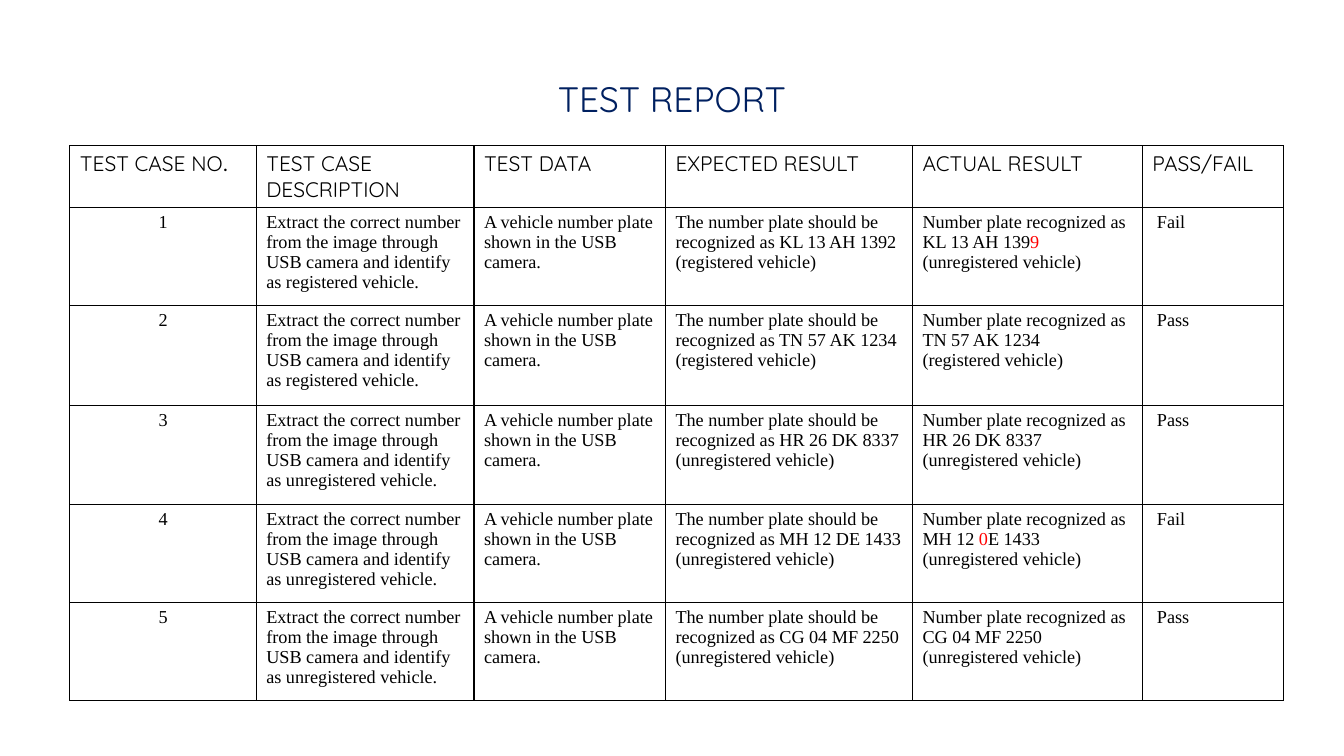
from lxml.etree import SubElement
from pptx import Presentation
from pptx.dml.color import RGBColor
from pptx.enum.text import MSO_ANCHOR as Anchor, PP_ALIGN as Align
from pptx.oxml.ns import qn
from pptx.util import Pt

HEADING_FONT = "Quicksand"
BODY_FONT = "Times New Roman"
BLACK, RED, NAVY = "000000", "FF0000", "002060"

COLUMN_WIDTHS = [133.2, 155.5, 136.8, 176.4, 164.2, 100.8]
ROW_HEIGHTS = [44.4, 66.5, 71.5, 71, 67.8, 70]
HEADINGS = ["TEST CASE NO", "TEST CASE DESCRIPTION", "TEST DATA",
            "EXPECTED RESULT", "ACTUAL RESULT", "PASS/FAIL"]

# Expected plate, recognized plate as (text, colour) parts, true and reported status, verdict
TEST_CASES = [
    ("KL 13 AH 1392", [("KL 13 AH 139", BLACK), ("9", RED)],
     "registered", "unregistered", "Fail"),
    ("TN 57 AK 1234", [("TN 57 AK 1234", BLACK)],
     "registered", "registered", "Pass"),
    ("HR 26 DK 8337", [("HR 26 DK 8337", BLACK)],
     "unregistered", "unregistered", "Pass"),
    ("MH 12 DE 1433", [("MH 12 ", BLACK), ("0", RED), ("E 1433", BLACK)],
     "unregistered", "unregistered", "Fail"),
    ("CG 04 MF 2250", [("CG 04 MF 2250", BLACK)],
     "unregistered", "unregistered", "Pass"),
]


def rgb(hex_colour):
    return RGBColor.from_string(hex_colour)


def style(font, name, size, colour):
    font.name = name
    font.size = Pt(size)
    font.bold = False
    font.color.rgb = rgb(colour)


def add_title(slide, text):
    title = slide.shapes.add_textbox(Pt(66), Pt(29), Pt(828), Pt(60))
    frame = title.text_frame
    frame.word_wrap = True
    frame.vertical_anchor = Anchor.BOTTOM
    frame.margin_bottom = Pt(3)
    line = frame.paragraphs[0]
    line.text = text
    line.alignment = Align.CENTER
    line.line_spacing = 0.9
    style(line.font, HEADING_FONT, 25.2, NAVY)


def add_borders(cell):
    properties = cell._tc.get_or_add_tcPr()
    for side in ("a:lnL", "a:lnR", "a:lnT", "a:lnB"):
        border = SubElement(properties, qn(side), w=str(Pt(1)))
        fill = SubElement(border, qn("a:solidFill"))
        SubElement(fill, qn("a:srgbClr"), val=BLACK)


def write_cell(cell, lines, font_name, size, alignment=Align.LEFT):
    frame = cell.text_frame
    for index, line in enumerate(lines):
        paragraph = frame.paragraphs[0] if index == 0 else frame.add_paragraph()
        paragraph.alignment = alignment
        style(paragraph.font, font_name, size, BLACK)
        parts = [(line, BLACK)] if isinstance(line, str) else line
        for text, colour in parts:
            run = paragraph.add_run()
            run.text = text
            if colour != BLACK:
                run.font.color.rgb = rgb(colour)


def write_test_case(cells, number, case):
    expected, recognized, status, reported, verdict = case
    contents = [
        [str(number)],
        ["Extract the correct number from the image through USB camera "
         f"and identify as {status} vehicle."],
        ["A vehicle number plate shown in the USB camera."],
        [f"The number plate should be recognized as {expected}", f"({status} vehicle)"],
        ["Number plate recognized as", recognized, f"({reported} vehicle)"],
        [verdict],
    ]
    for column, (cell, lines) in enumerate(zip(cells, contents)):
        alignment = Align.CENTER if column == 0 else Align.LEFT
        write_cell(cell, lines, BODY_FONT, 13, alignment)
    cells[-1].margin_left = Pt(10.5)


def add_report_table(slide):
    report = slide.shapes.add_table(
        len(ROW_HEIGHTS), len(COLUMN_WIDTHS), Pt(49.9), Pt(104),
        Pt(sum(COLUMN_WIDTHS)), Pt(sum(ROW_HEIGHTS))).table
    report.first_row = False
    report.horz_banding = False
    for column, width in zip(report.columns, COLUMN_WIDTHS):
        column.width = Pt(width)
    for row, height in zip(report.rows, ROW_HEIGHTS):
        row.height = Pt(height)
    for cell in report.iter_cells():
        add_borders(cell)
        cell.fill.background()

    header, *case_rows = [list(row.cells) for row in report.rows]
    for cell, heading in zip(header, HEADINGS):
        write_cell(cell, [heading], HEADING_FONT, 15)
    full_stop = header[0].text_frame.paragraphs[0].add_run()
    full_stop.text = "."
    full_stop.font.name = "Calibri"
    for number, (cells, case) in enumerate(zip(case_rows, TEST_CASES), start=1):
        write_test_case(cells, number, case)


def main():
    deck = Presentation()
    deck.slide_width, deck.slide_height = Pt(960), Pt(540)
    slide = deck.slides.add_slide(deck.slide_layouts[6])
    add_title(slide, "TEST REPORT")
    add_report_table(slide)
    deck.save("out.pptx")


if __name__ == "__main__":
    main()
